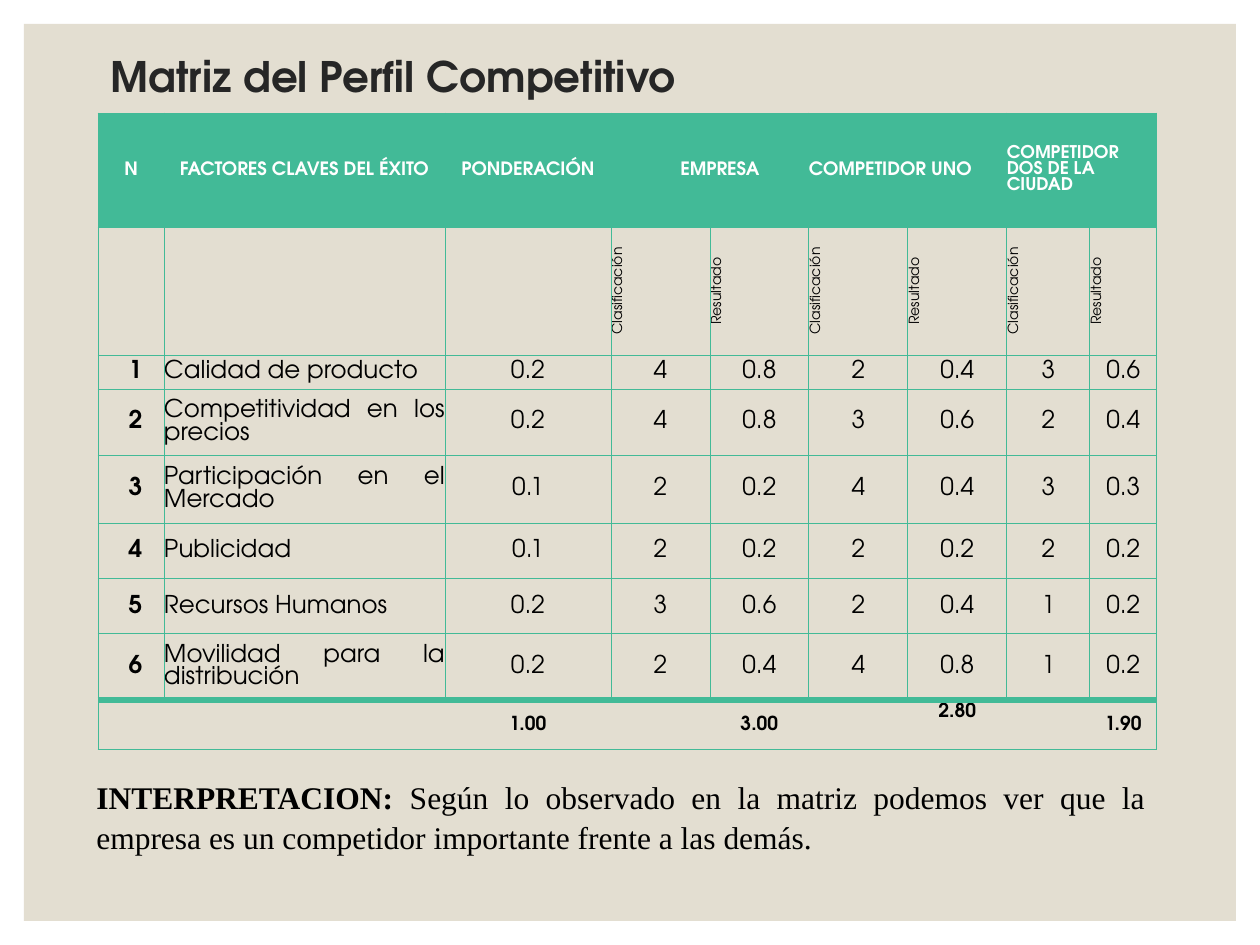
from lxml import etree
from pptx import Presentation
from pptx import util as u
from pptx.dml.color import RGBColor
from pptx.enum import shapes, text
from pptx.oxml import ns

GREEN = RGBColor(0x42, 0xBA, 0x97)
SAND = RGBColor(0xE3, 0xDE, 0xD1)
CHARCOAL = RGBColor(0x26, 0x26, 0x26)
BLACK = RGBColor(0, 0, 0)
WHITE = RGBColor(255, 255, 255)
SANS = "TeX Gyre Adventor"
SERIF = "Times New Roman"
PLAIN_TABLE_STYLE = "{2D5ABB26-0587-4C30-8999-92F81FD0307C}"
LEFT, CENTER, JUSTIFY = (text.PP_ALIGN.LEFT, text.PP_ALIGN.CENTER,
                         text.PP_ALIGN.JUSTIFY)


def px(length):
    return u.Emu(round(length * 914400 / 126))


def add_border(cell, side, points):
    """Draw one side (L, R, T or B) of a cell in green."""
    line = etree.SubElement(cell._tc.get_or_add_tcPr(), ns.qn("a:ln" + side),
                            w=str(u.Pt(points)))
    fill = etree.SubElement(line, ns.qn("a:solidFill"))
    etree.SubElement(fill, ns.qn("a:srgbClr"), val=str(GREEN))


presentation = Presentation()
presentation.slide_width, presentation.slide_height = px(1260), px(945)
slide = presentation.slides.add_slide(presentation.slide_layouts[5])

# Background panel, sent behind the title
panel = slide.shapes.add_shape(shapes.MSO_SHAPE.RECTANGLE,
                               px(24), px(24), px(1212), px(897))
panel.shadow.inherit = False
panel.fill.solid()
panel.fill.fore_color.rgb = SAND
panel.line.fill.background()
slide.shapes._spTree.insert(2, panel._element)

# Title
title = slide.shapes.title
title.left, title.top, title.width, title.height = px(98), px(45), px(1058), px(67)
title.text_frame.text = "Matriz del Perfil Competitivo"
title.text_frame.vertical_anchor = text.MSO_ANCHOR.MIDDLE
paragraph = title.text_frame.paragraphs[0]
paragraph.alignment = LEFT
paragraph.line_spacing = 0.9
paragraph.font.name, paragraph.font.size = SANS, u.Pt(24)
paragraph.font.bold = True
paragraph.font.color.rgb = CHARCOAL

# Table contents
rows = [
    ["N", "FACTORES CLAVES DEL ÉXITO", "PONDERACIÓN", "EMPRESA", "",
     "COMPETIDOR UNO", "", "COMPETIDOR DOS DE LA CIUDAD", ""],
    ["", "", ""] + ["Clasificación", "Resultado"] * 3,
    ["1", "Calidad de producto", "0.2", "4", "0.8", "2", "0.4", "3", "0.6"],
    ["2", "Competitividad en los\vprecios", "0.2", "4", "0.8", "3", "0.6", "2", "0.4"],
    ["3", "Participación en el Mercado", "0.1", "2", "0.2", "4", "0.4", "3", "0.3"],
    ["4", "Publicidad", "0.1", "2", "0.2", "2", "0.2", "2", "0.2"],
    ["5", "Recursos Humanos", "0.2", "3", "0.6", "2", "0.4", "1", "0.2"],
    ["6", "Movilidad para la distribución", "0.2", "2", "0.4", "4", "0.8", "1", "0.2"],
    ["", "", "1.00", "", "3.00", "", "2.80", "", "1.90"],
]
column_widths = [66, 281, 166, 99, 99, 99, 99, 83, 67]
row_heights = [114, 128, 34, 66, 68, 56, 55, 66, 50]
HEADER, SUBHEADER, TOTAL = 0, 1, len(rows) - 1
LAST_COLUMN = len(column_widths) - 1

frame = slide.shapes.add_table(len(rows), len(column_widths), px(98), px(113),
                               px(sum(column_widths)), px(sum(row_heights)))
table = frame.table
table.horz_banding = table.first_row = False
table._tbl.tblPr.find(ns.qn("a:tableStyleId")).text = PLAIN_TABLE_STYLE
for column, width in zip(table.columns, column_widths):
    column.width = px(width)
for row, height in zip(table.rows, row_heights):
    row.height = px(height)
for first in (3, 5, 7):
    table.cell(HEADER, first).merge(table.cell(HEADER, first + 1))

for r, values in enumerate(rows):
    for c, value in enumerate(values):
        cell = table.cell(r, c)
        # Borders: the total row has only its outline and a thick top rule
        if r != TOTAL or c == 0:
            add_border(cell, "L", 0.5)
        if r != TOTAL or c == LAST_COLUMN:
            add_border(cell, "R", 0.5)
        add_border(cell, "T", 4 if r == TOTAL else 0.5)
        add_border(cell, "B", 4 if r == TOTAL - 1 else 0.5)
        if r == HEADER:
            cell.fill.solid()
            cell.fill.fore_color.rgb = GREEN
        else:
            cell.fill.background()

        cell.margin_left = cell.margin_right = 0
        cell.margin_top = cell.margin_bottom = 0
        cell.vertical_anchor = text.MSO_ANCHOR.MIDDLE
        if not value:
            continue
        cell.text = value
        paragraph = cell.text_frame.paragraphs[0]
        paragraph.alignment = CENTER
        font = paragraph.font
        font.name, font.size = SANS, u.Pt(14)
        font.bold = r in (HEADER, TOTAL) or c == 0
        font.color.rgb = WHITE if r == HEADER else BLACK

        if r == HEADER:
            font.size = u.Pt(10.5)
            if c == 3:
                cell.margin_left = px(20)
            elif c == 5:
                paragraph.alignment = LEFT
            elif c == 7:
                paragraph.alignment = LEFT
                paragraph.line_spacing = u.Pt(9)
                font.size = u.Pt(10)
        elif r == SUBHEADER:
            cell._tc.tcPr.set("vert", "vert270")
            paragraph.line_spacing = u.Pt(8)
            font.size = u.Pt(8)
        elif r == TOTAL:
            font.size = u.Pt(11)
            if c == 6:
                cell.vertical_anchor = text.MSO_ANCHOR.TOP
                cell.margin_top = px(3)
        elif c == 0:
            cell.margin_left = px(9)
            paragraph.line_spacing = u.Pt(13)
        elif c == 1:
            paragraph.alignment = JUSTIFY
            paragraph.line_spacing = u.Pt(13)

# Interpretation
note = slide.shapes.add_textbox(px(84), px(770), px(1074), px(89))
note.text_frame.word_wrap = True
paragraph = note.text_frame.paragraphs[0]
paragraph.alignment = JUSTIFY
paragraph.space_before = u.Pt(1.4)
paragraph.line_spacing = 1.05
paragraph.font.name, paragraph.font.size = SERIF, u.Pt(18)
paragraph.font.color.rgb = BLACK
label = paragraph.add_run()
label.text = "INTERPRETACION: "
label.font.bold = True
paragraph.add_run().text = ("Según lo observado en la matriz podemos ver que la empresa "
                            "es un competidor importante frente a las demás.")

presentation.save("out.pptx")
